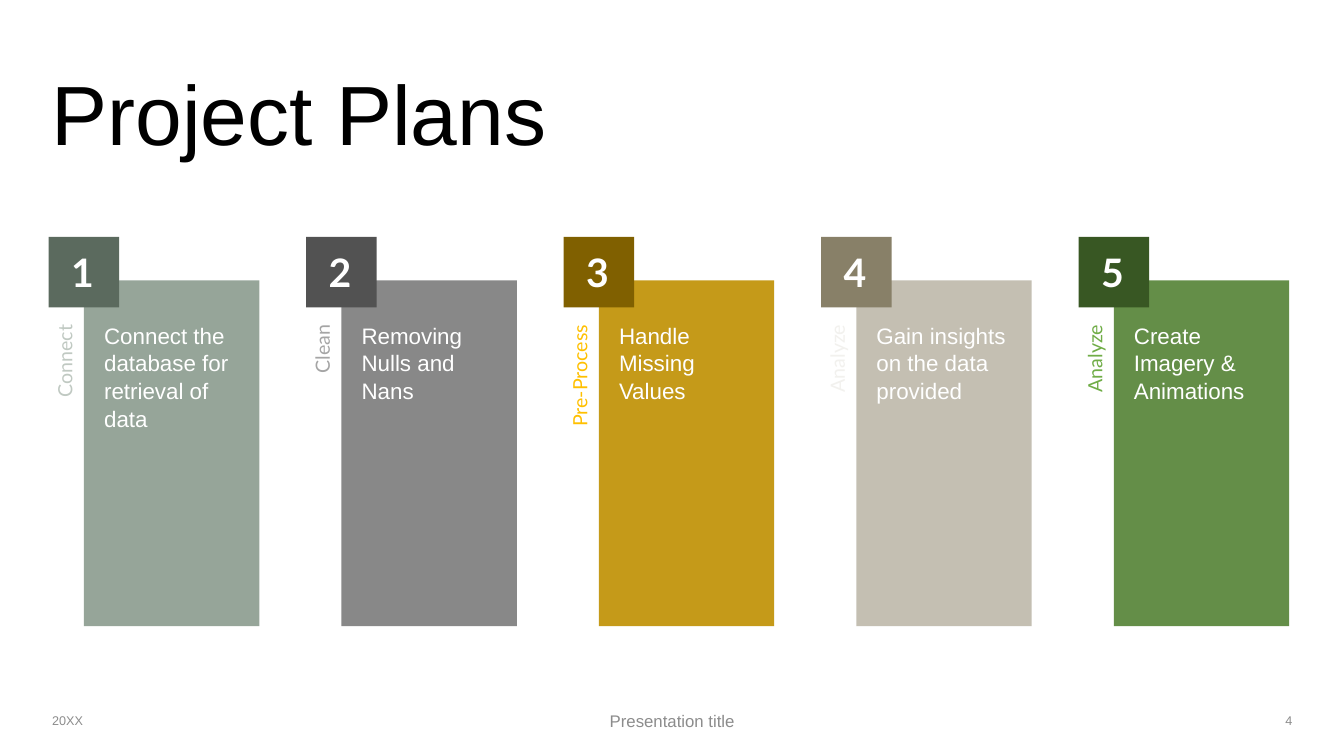
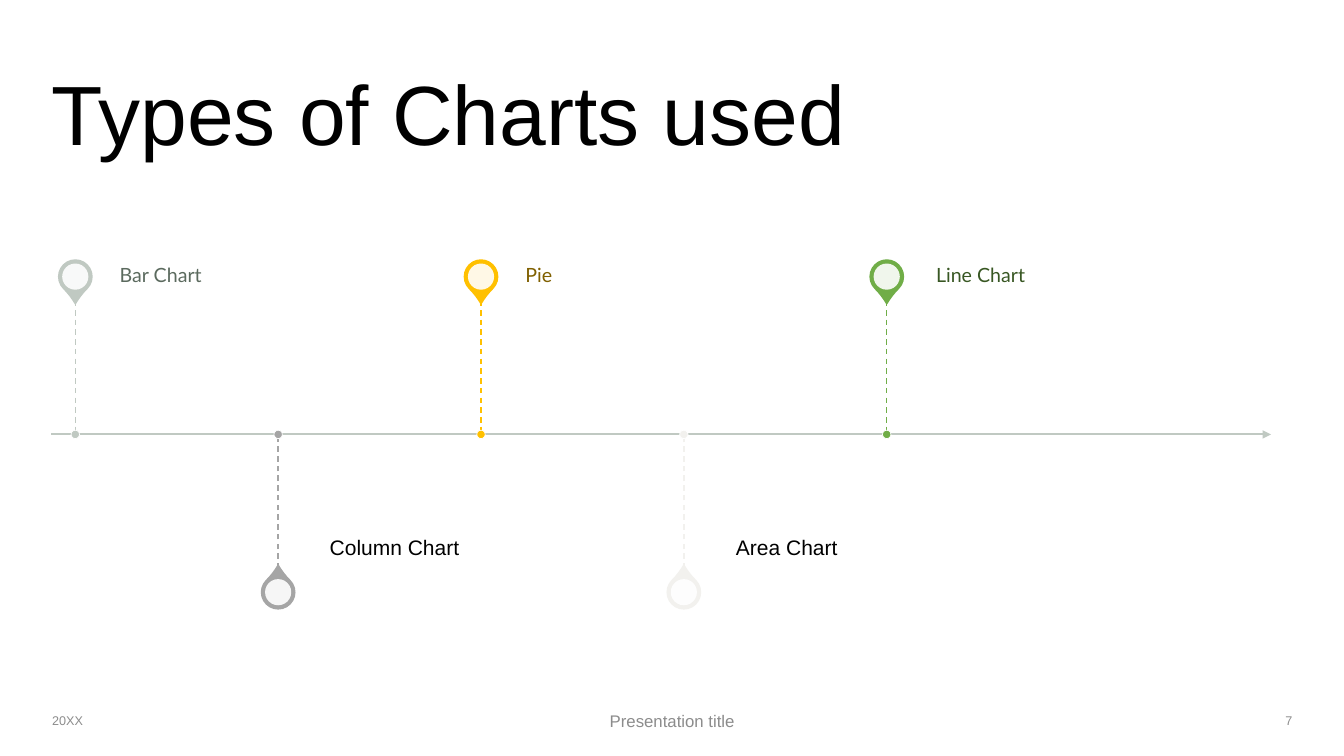
from pptx import Presentation
from pptx.dml.color import RGBColor
from pptx.enum.dml import MSO_LINE
from pptx.enum.shapes import MSO_CONNECTOR, MSO_SHAPE as SHAPE
from pptx.enum.text import MSO_ANCHOR as ANCHOR, PP_ALIGN as ALIGN
from pptx.oxml.ns import qn
from pptx.oxml.xmlchemy import OxmlElement
from pptx.util import Pt

# Shared style
WHITE, BLACK, GRAY, SAGE = "FFFFFF", "000000", "8C8C8C", "C0C9C2"
BODY_FONT, LABEL_FONT = "Arial", "Lato"
FOOTER_TOP, FOOTER_HEIGHT = 500.4, 28.8

# Content: label, label colour, text, panel colour, tile colour
PLANS = [
    ("Connect", SAGE, "Connect the database for retrieval of data", "8B9C8F", "5B6A5E"),
    ("Clean", "A5A5A5", "Removing Nulls and Nans", "7C7C7C", "525252"),
    ("Pre-Process", "FFC000", "Handle Missing Values", "BF9000", "806000"),
    ("Analyze", "F2F1EE", "Gain insights on the data provided", "BEB9AA", "888068"),
    ("Analyze", "70AD47", "Create Imagery & Animations", "548235", "385723"),
]
# Label, pin colour, label colour, gap from pin to label
CHART_TYPES = [
    ("Bar Chart", SAGE, "5B6A5E", 31.7),
    ("Column Chart", "A5A5A5", BLACK, 36.8),
    ("Pie", "FFC000", "806000", 31.7),
    ("Area Chart", "F2F1EE", BLACK, 37.2),
    ("Line Chart", "70AD47", "385723", 35.2),
]


def color(value):
    return RGBColor.from_string(value)


def write(shape, text, size, text_color, font=BODY_FONT, align=ALIGN.LEFT,
          anchor=ANCHOR.MIDDLE, insets=(7.2, 3.6, 7.2, 3.6), spacing=1.0, bold=False):
    frame = shape.text_frame
    frame.word_wrap = True
    frame.vertical_anchor = anchor
    (frame.margin_left, frame.margin_top,
     frame.margin_right, frame.margin_bottom) = map(Pt, insets)
    paragraph = frame.paragraphs[0]
    paragraph.text = text
    paragraph.alignment = align
    paragraph.line_spacing = spacing
    paragraph.font.name = font
    paragraph.font.size = Pt(size)
    paragraph.font.bold = bold
    paragraph.font.color.rgb = color(text_color)


def add_text(slide, box, text, size, text_color, **style):
    shape = slide.shapes.add_textbox(*map(Pt, box))
    write(shape, text, size, text_color, **style)
    return shape


def add_shape(slide, kind, box, fill, opacity=100, line=None, line_width=1):
    shape = slide.shapes.add_shape(kind, *map(Pt, box))
    shape.shadow.inherit = False
    shape.fill.solid()
    shape.fill.fore_color.rgb = color(fill)
    if opacity < 100:
        alpha = OxmlElement("a:alpha")
        alpha.set("val", str(opacity * 1000))
        shape.element.spPr.find(qn("a:solidFill"))[0].append(alpha)
    if line:
        shape.line.color.rgb = color(line)
        shape.line.width = Pt(line_width)
    else:
        shape.line.fill.background()
    return shape


def add_centered(slide, kind, x, y, size, fill, **style):
    box = (x - size / 2, y - size / 2, size, size)
    return add_shape(slide, kind, box, fill, **style)


def add_line(slide, start, end, line_color, width, dashed=False, arrow=False):
    connector = slide.shapes.add_connector(
        MSO_CONNECTOR.STRAIGHT, *map(Pt, (*start, *end)))
    connector.line.color.rgb = color(line_color)
    connector.line.width = Pt(width)
    if dashed:
        connector.line.dash_style = MSO_LINE.DASH
    properties = connector.element.spPr
    if arrow:
        tail = OxmlElement("a:tailEnd")
        tail.set("type", "triangle")
        properties.find(qn("a:ln")).append(tail)
    properties.append(OxmlElement("a:effectLst"))


def add_slide(presentation, title, number):
    slide = presentation.slides.add_slide(presentation.slide_layouts[6])
    add_text(slide, (29.8, 48.2, 838, 106.6), title, 60, BLACK,
             anchor=ANCHOR.TOP, spacing=0.9)
    footers = [
        (30.2, 216, "20XX", 9, ALIGN.LEFT),
        (318.2, 324, "Presentation title", 12, ALIGN.CENTER),
        (843.8, 86.4, str(number), 9, ALIGN.RIGHT),
    ]
    for left, width, text, size, align in footers:
        add_text(slide, (left, FOOTER_TOP, width, FOOTER_HEIGHT),
                 text, size, GRAY, align=align)
    return slide


def build_plans(presentation):
    slide = add_slide(presentation, "Project Plans", 4)
    first_left, pitch = 34.8, 183.9
    tile_top, tile_size = 169.2, 50.4
    panel_top, panel_width, panel_height = 200.2, 125.3, 247
    label_length, label_height, label_middle = 267, 25.2, 336.6

    for index, (label, label_color, text, panel_color, tile_color) in enumerate(PLANS):
        left = first_left + index * pitch
        # Vertical label
        label_center = left + 12.4
        label_box = (label_center - label_length / 2, label_middle - label_height / 2,
                     label_length, label_height)
        label_shape = add_text(slide, label_box, label, 14, label_color, font=LABEL_FONT,
                               align=ALIGN.RIGHT, insets=(0, 0, 28.8, 0), spacing=0.9)
        label_shape.rotation = 270
        # Panel with its text
        panel = add_shape(slide, SHAPE.RECTANGLE,
                          (left + tile_size / 2, panel_top, panel_width, panel_height),
                          panel_color, opacity=90)
        write(panel, text, 16, WHITE, anchor=ANCHOR.TOP,
              insets=(14.4, 28.8, 14.4, 14.4), spacing=1.04)
        # Numbered tile
        tile = add_shape(slide, SHAPE.RECTANGLE,
                         (left, tile_top, tile_size, tile_size), tile_color)
        write(tile, str(index + 1), 28, WHITE, font=LABEL_FONT,
              align=ALIGN.CENTER, insets=(0, 0, 2, 0), bold=True)


def build_chart_types(presentation):
    slide = add_slide(presentation, "Types of Charts used", 7)
    first_x, pitch, axis_y = 53.8, 144.9, 310.3
    stem, pin_distance, label_width = 95.8, 112.7, 190

    add_line(slide, (36.7, axis_y), (907.9, axis_y), SAGE, 1.5, arrow=True)
    for index, (label, pin_color, label_color, gap) in enumerate(CHART_TYPES):
        x = first_x + index * pitch
        above = index % 2 == 0
        direction = -1 if above else 1
        pin_y = axis_y + direction * pin_distance
        # Pin
        pin = add_centered(slide, SHAPE.TEAR, x, pin_y, 23.8, pin_color, line=pin_color)
        pin.adjustments[0] = 1.15
        pin.rotation = 135 if above else 315
        add_centered(slide, SHAPE.OVAL, x, pin_y, 18.7, WHITE, opacity=90)
        # Stem and axis dot
        add_line(slide, (x, axis_y + direction * stem), (x, axis_y), pin_color, 1, dashed=True)
        add_centered(slide, SHAPE.OVAL, x, axis_y, 6, pin_color, line=WHITE, line_width=0.5)
        # Label
        if above:
            add_text(slide, (x + gap, pin_y - 17, label_width, 34), label, 14, label_color,
                     font=LABEL_FONT, insets=(0, 0, 7.2, 0), spacing=0.9)
        else:
            add_text(slide, (x + gap, axis_y, label_width, stem), label, 15, label_color,
                     anchor=ANCHOR.BOTTOM, insets=(0, 11.5, 0, 7.2), spacing=0.9)


def main():
    presentation = Presentation()
    presentation.slide_width, presentation.slide_height = Pt(960), Pt(540)
    build_plans(presentation)
    build_chart_types(presentation)
    presentation.save("out.pptx")


if __name__ == "__main__":
    main()
